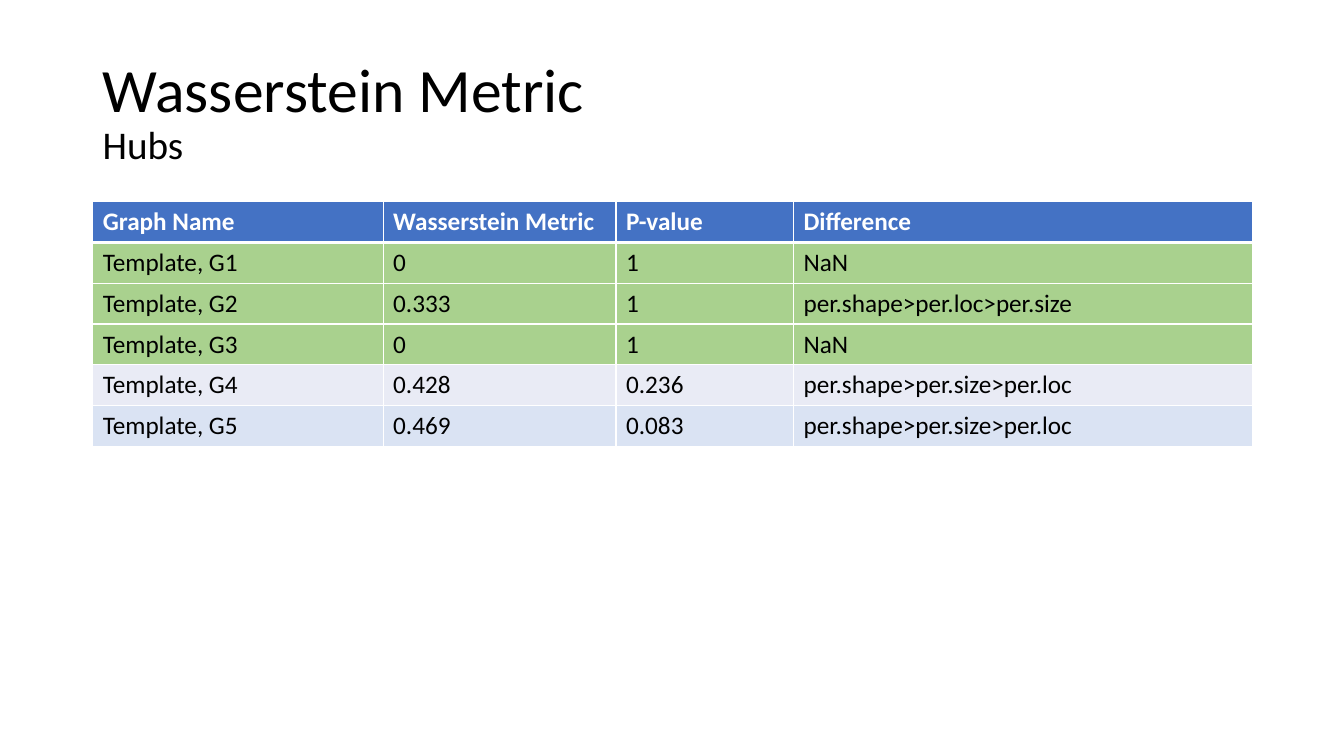
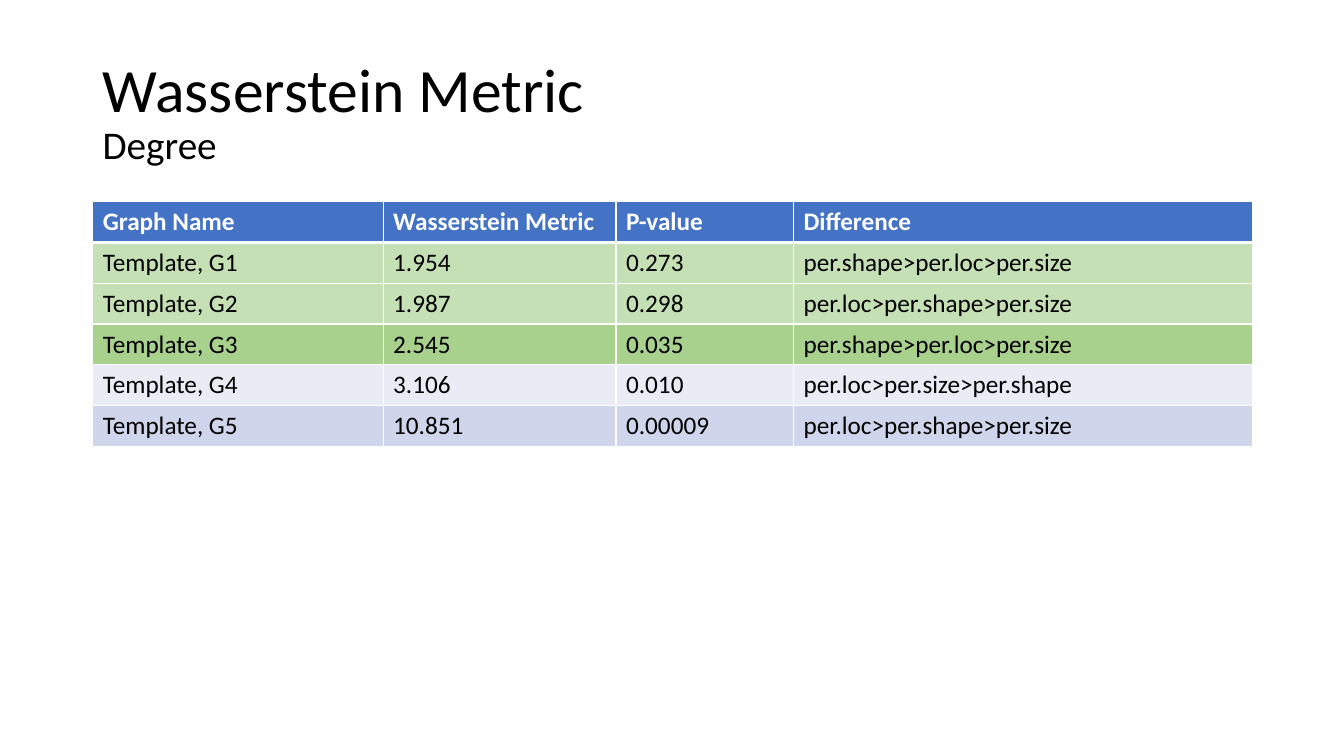
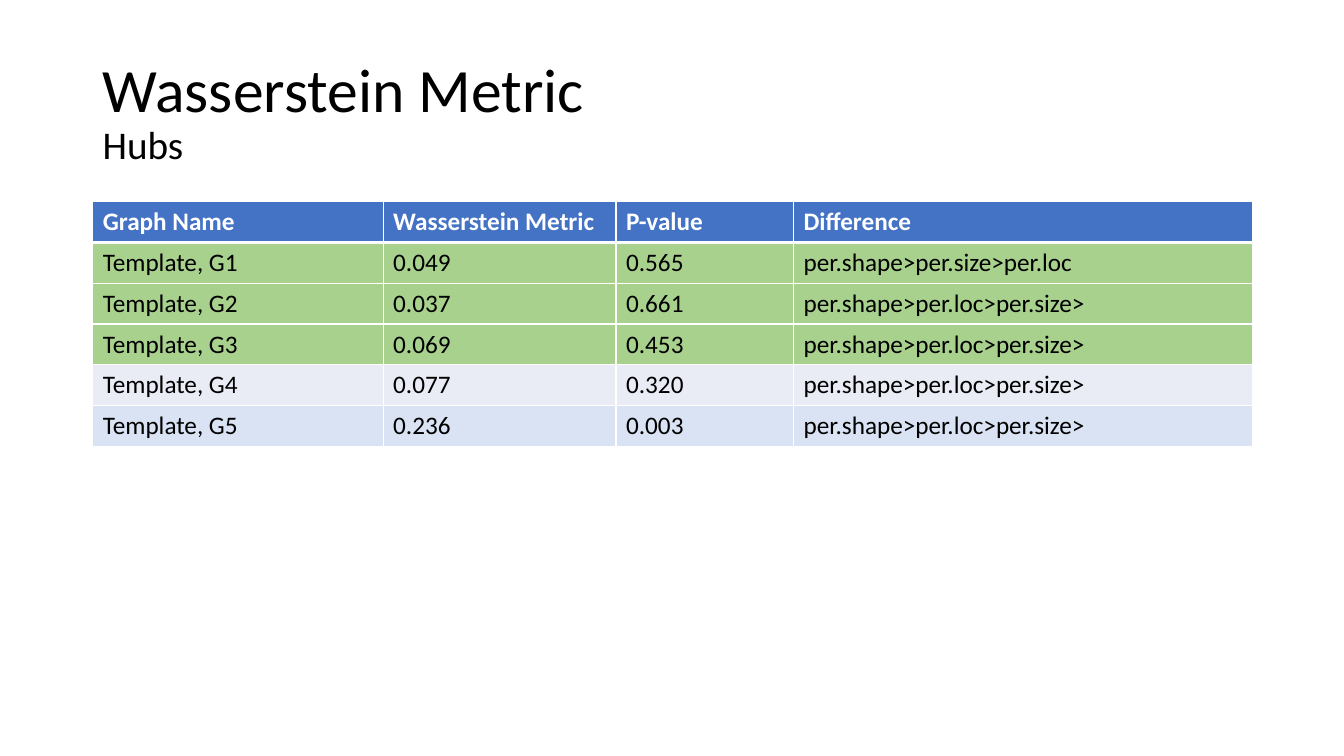
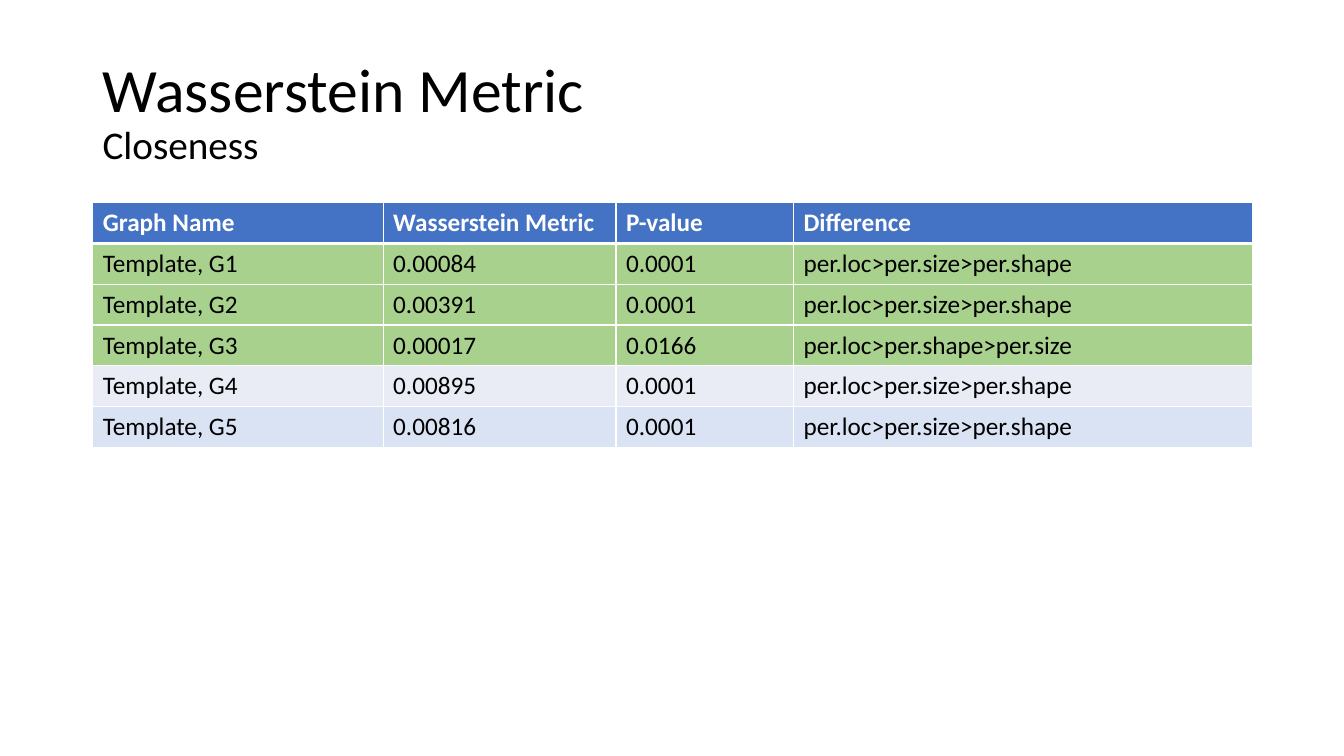
from dataclasses import dataclass

from lxml import etree
from pptx import Presentation
from pptx import util as u
from pptx.dml import color
from pptx.enum import text
from pptx.oxml import ns


@dataclass(frozen=True)
class Theme:
    font: str = "Calibri"
    ink: str = "000000"
    paper: str = "FFFFFF"
    header: str = "4472C4"
    green: str = "A9D18E"
    pale_green: str = "C5E0B4"
    light_band: str = "E9EBF5"
    dark_band: str = "CFD5EA"
    pale_blue: str = "DAE3F3"
    title_size: int = 44
    subtitle_size: int = 28
    table_size: int = 18
    thin_rule: int = 1
    header_rule: int = 3


THEME = Theme()
LEFT, WIDTH = 0.92, 11.5
TITLE_TOP, TITLE_HEIGHT = 0.4, 1.45
COLUMN_WIDTHS = (2.88, 2.31, 1.76, 4.55)
TABLE_HEIGHT = 2.43
HEADINGS = ("Graph Name", "Wasserstein Metric", "P-value", "Difference")

GREEN_FILLS = (THEME.green,) * 3 + (THEME.light_band, THEME.pale_blue)
DEGREE_FILLS = (THEME.pale_green, THEME.pale_green, THEME.green,
                THEME.light_band, THEME.dark_band)

# Subtitle, table top, row fills, and (metric, p-value, difference) per graph
RESULTS = (
    ("Hubs", 2, GREEN_FILLS, (
        ("0", "1", "NaN"),
        ("0.333", "1", "per.shape>per.loc>per.size"),
        ("0", "1", "NaN"),
        ("0.428", "0.236", "per.shape>per.size>per.loc"),
        ("0.469", "0.083", "per.shape>per.size>per.loc"),
    )),
    ("Degree", 2, DEGREE_FILLS, (
        ("1.954", "0.273", "per.shape>per.loc>per.size"),
        ("1.987", "0.298", "per.loc>per.shape>per.size"),
        ("2.545", "0.035", "per.shape>per.loc>per.size"),
        ("3.106", "0.010", "per.loc>per.size>per.shape"),
        ("10.851", "0.00009", "per.loc>per.shape>per.size"),
    )),
    ("Hubs", 2, GREEN_FILLS, (
        ("0.049", "0.565", "per.shape>per.size>per.loc"),
        ("0.037", "0.661", "per.shape>per.loc>per.size>"),
        ("0.069", "0.453", "per.shape>per.loc>per.size>"),
        ("0.077", "0.320", "per.shape>per.loc>per.size>"),
        ("0.236", "0.003", "per.shape>per.loc>per.size>"),
    )),
    ("Closeness", 2.01, GREEN_FILLS, (
        ("0.00084", "0.0001", "per.loc>per.size>per.shape"),
        ("0.00391", "0.0001", "per.loc>per.size>per.shape"),
        ("0.00017", "0.0166", "per.loc>per.shape>per.size"),
        ("0.00895", "0.0001", "per.loc>per.size>per.shape"),
        ("0.00816", "0.0001", "per.loc>per.size>per.shape"),
    )),
)


def add_span(para, words, size, ink=THEME.ink, bold=False):
    span = para.add_run()
    span.text = words
    span.font.name = THEME.font
    span.font.size = u.Pt(size)
    span.font.bold = bold
    span.font.color.rgb = color.RGBColor.from_string(ink)


def add_title(page, subtitle):
    box = page.shapes.add_textbox(u.Inches(LEFT), u.Inches(TITLE_TOP),
                                  u.Inches(WIDTH), u.Inches(TITLE_HEIGHT))
    frame = box.text_frame
    frame.word_wrap = True
    frame.vertical_anchor = text.MSO_ANCHOR.MIDDLE
    para = frame.paragraphs[0]
    para.line_spacing = 0.9
    add_span(para, "Wasserstein Metric", THEME.title_size)
    para.add_line_break()
    add_span(para, subtitle, THEME.subtitle_size)


def set_borders(cell, top, bottom):
    """Rule all four sides; call before filling, as the schema puts lines first."""
    properties = cell._tc.get_or_add_tcPr()
    widths = {"L": THEME.thin_rule, "R": THEME.thin_rule, "T": top, "B": bottom}
    for side, width in widths.items():
        line = etree.SubElement(properties, ns.qn(f"a:ln{side}"),
                                w=str(u.Pt(width)))
        fill = etree.SubElement(line, ns.qn("a:solidFill"))
        etree.SubElement(fill, ns.qn("a:srgbClr"), val=THEME.paper)


def add_results_table(page, top, fills, results):
    rows = [HEADINGS] + [(f"Template, G{number}", *values)
                         for number, values in enumerate(results, 1)]
    table = page.shapes.add_table(
        len(rows), len(HEADINGS), u.Inches(LEFT), u.Inches(top),
        u.Inches(WIDTH), u.Inches(TABLE_HEIGHT)).table
    for column, width in zip(table.columns, COLUMN_WIDTHS):
        column.width = u.Inches(width)

    for row_index, (values, fill) in enumerate(zip(rows, (THEME.header, *fills))):
        is_header = row_index == 0
        above = THEME.header_rule if row_index == 1 else THEME.thin_rule
        below = THEME.header_rule if is_header else THEME.thin_rule
        for column_index, value in enumerate(values):
            cell = table.cell(row_index, column_index)
            set_borders(cell, above, below)
            cell.fill.solid()
            cell.fill.fore_color.rgb = color.RGBColor.from_string(fill)
            add_span(cell.text_frame.paragraphs[0], value, THEME.table_size,
                     THEME.paper if is_header else THEME.ink, is_header)


def main():
    deck = Presentation()
    deck.slide_width, deck.slide_height = u.Inches(13.33), u.Inches(7.5)
    blank = deck.slide_layouts[6]
    for subtitle, top, fills, results in RESULTS:
        page = deck.slides.add_slide(blank)
        add_title(page, subtitle)
        add_results_table(page, top, fills, results)
    deck.save("out.pptx")


if __name__ == "__main__":
    main()
